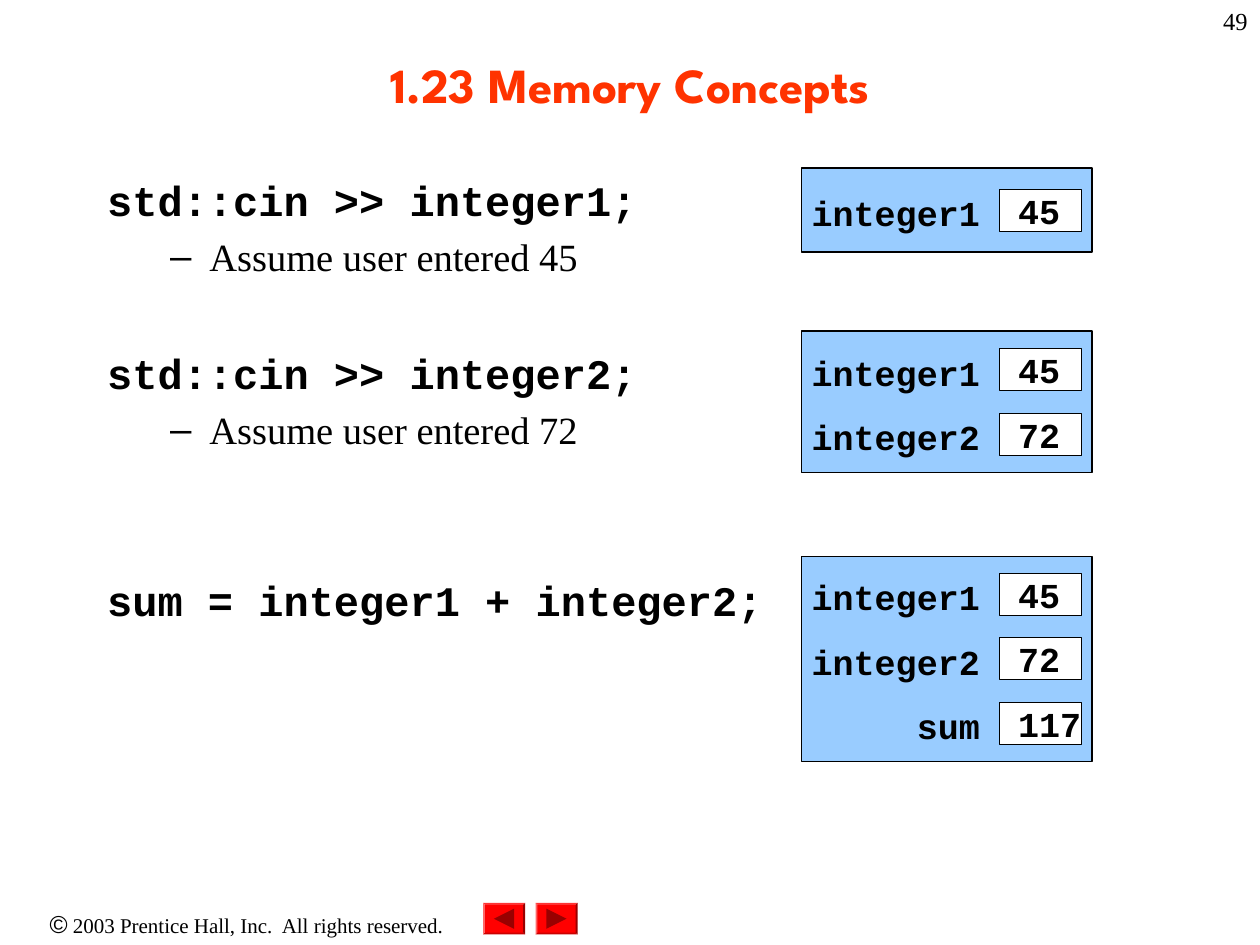
from dataclasses import dataclass

from lxml.etree import SubElement
from pptx import Presentation
from pptx.dml.color import RGBColor
from pptx.enum.shapes import MSO_SHAPE as Preset
from pptx.enum.text import MSO_ANCHOR as Anchor, MSO_AUTO_SIZE as AutoSize, PP_ALIGN as Align
from pptx.oxml.ns import qn
from pptx.util import Pt

BLACK = RGBColor(0x00, 0x00, 0x00)
WHITE = RGBColor(0xFF, 0xFF, 0xFF)
ORANGE = RGBColor(0xFF, 0x33, 0x00)
SKY = RGBColor(0x99, 0xCC, 0xFF)
RED = RGBColor(0xFF, 0x00, 0x00)
DARK_RED = RGBColor(0x99, 0x00, 0x00)

# top, height, variables
MEMORY_STATES = [
    (96, 48, [("integer1", "45")]),
    (189.25, 81, [("integer1", "45"), ("integer2", "72")]),
    (318, 117, [("integer1", "45"), ("integer2", "72"), ("sum", "117")]),
]
# text, is code, space before
STATEMENTS = [
    ("std::cin >> integer1;", True, 0),
    ("Assume user entered 45", False, 5),
    ("std::cin >> integer2;", True, 38.5),
    ("Assume user entered 72", False, 5),
    ("sum = integer1 + integer2;", True, 70),
]


@dataclass
class SlideBuilder:
    page: object
    heading_font: str = "League Spartan"
    body_font: str = "Times New Roman"
    code_font: str = "Courier New"
    symbol_font: str = "Arial"
    cell_height: float = 24
    cell_step: float = 36.75

    def place(self, box, left, top, width, height):
        box.left, box.top, box.width, box.height = map(Pt, (left, top, width, height))

    def set_font(self, font, name, size, color=BLACK, bold=False):
        font.name, font.size, font.bold = name, Pt(size), bold
        font.color.rgb = color

    def title(self, text):
        box = self.page.shapes.title
        self.place(box, 54, 6, 612, 84)
        frame = box.text_frame
        frame.text = text
        frame.auto_size = AutoSize.NONE
        frame.vertical_anchor = Anchor.MIDDLE
        para = frame.paragraphs[0]
        para.alignment = Align.CENTER
        self.set_font(para.font, self.heading_font, 28, ORANGE, True)

    def set_bullet(self, para, margin, indent, symbol=None):
        properties = para._p.get_or_add_pPr()
        properties.set("marL", str(Pt(margin)))
        properties.set("indent", str(Pt(indent)))
        if symbol:
            SubElement(properties, qn("a:buChar"), char=symbol)
        else:
            SubElement(properties, qn("a:buNone"))

    def statements(self, items):
        box = self.page.placeholders[1]
        self.place(box, 54, 96, 612, 396)
        frame = box.text_frame
        frame.auto_size = AutoSize.NONE
        frame.text = "\n".join(text for text, _, _ in items)
        for para, (_, is_code, space) in zip(frame.paragraphs, items):
            para.space_before = Pt(space)
            if is_code:
                self.set_bullet(para, 27, -27)
                self.set_font(para.font, self.code_font, 24, bold=True)
            else:
                para.level = 1
                self.set_bullet(para, 58.5, -22.5, "–")
                self.set_font(para.font, self.body_font, 22)

    def shape(self, shapes, preset, left, top, width, height, fill, line=None):
        shape = shapes.add_shape(preset, *map(Pt, (left, top, width, height)))
        shape.shadow.inherit = False
        shape.fill.solid()
        shape.fill.fore_color.rgb = fill
        if line:
            shape.line.color.rgb = BLACK
            shape.line.width = Pt(line)
        else:
            shape.line.fill.background()
        return shape

    def text(self, shapes, text, left, top, width, height, align, inset=False):
        """Add a text box and return its paragraph."""
        box = shapes.add_textbox(*map(Pt, (left, top, width, height)))
        frame = box.text_frame
        frame.word_wrap = True
        if not inset:
            frame.margin_left = frame.margin_right = 0
            frame.margin_top = frame.margin_bottom = 0
        para = frame.paragraphs[0]
        para.alignment = align
        if text:
            para.add_run().text = text
        return para

    def cell(self, name, value, top):
        shapes = self.page.shapes.add_group_shape().shapes
        self.shape(shapes, Preset.RECTANGLE, 571, top, 47, self.cell_height, WHITE, 0.5)
        label = self.text(shapes, name, 462, top + 1.25, 98, 24, Align.RIGHT)
        number = self.text(shapes, value, 581.75, top, 42, 24, Align.LEFT)
        for para in (label, number):
            self.set_font(para.font, self.code_font, 20, bold=True)

    def memory(self, top, height, variables):
        """Draw a memory block with its cells centred from top to bottom."""
        self.shape(self.page.shapes, Preset.RECTANGLE, 458, top, 166, height, SKY, 0.75)
        used = self.cell_step * (len(variables) - 1) + self.cell_height
        first = top + (height - used) / 2
        for row, (name, value) in enumerate(variables):
            self.cell(name, value, first + row * self.cell_step)

    def arrow_button(self, left, rotation):
        shapes = self.page.shapes
        button = self.shape(shapes, Preset.BEVEL, left, 516, 24, 18, RED)
        button.adjustments[0] = 0.06
        arrow = self.shape(shapes, Preset.ISOSCELES_TRIANGLE,
                           left + 6.25, 519.25, 11.5, 11.5, DARK_RED)
        arrow.rotation = rotation

    def page_number(self, text):
        para = self.text(self.page.shapes, text, 570, 0, 150, 36, Align.RIGHT, inset=True)
        self.set_font(para.font, self.body_font, 14)

    def copyright(self, symbol, text):
        para = self.text(self.page.shapes, "", 0, 516, 282, 24, Align.CENTER, inset=True)
        for part, font, size in ((symbol, self.symbol_font, 14), (text, self.body_font, 12)):
            span = para.add_run()
            span.text = part
            self.set_font(span.font, font, size)


def main():
    deck = Presentation()
    deck.slide_width, deck.slide_height = Pt(720), Pt(540)
    builder = SlideBuilder(deck.slides.add_slide(deck.slide_layouts[1]))
    builder.title("1.23 Memory Concepts")
    builder.statements(STATEMENTS)
    for state in MEMORY_STATES:
        builder.memory(*state)
    builder.arrow_button(276, -90)
    builder.arrow_button(306, 90)
    builder.copyright("©", " 2003 Prentice Hall, Inc.  All rights reserved.")
    builder.page_number("49")
    deck.save("out.pptx")


if __name__ == "__main__":
    main()
